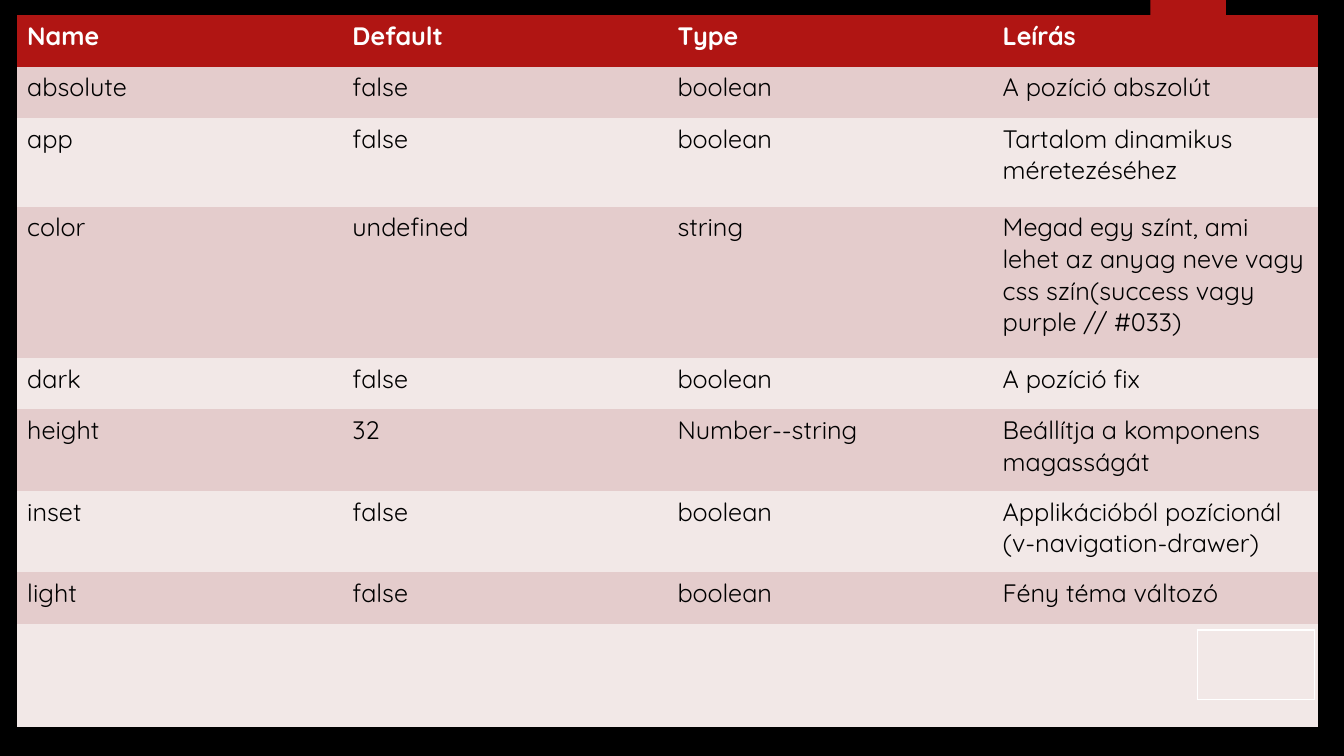
from dataclasses import dataclass

from lxml import etree
from pptx import Presentation
from pptx.dml.color import RGBColor
from pptx.enum.shapes import MSO_SHAPE
from pptx.oxml.ns import qn
from pptx.table import Table, _Cell
from pptx.util import Inches, Pt

RECTANGLE = MSO_SHAPE.RECTANGLE
FONT = "Quicksand"
PLAIN_STYLE = "{2D5ABB26-0587-4C30-8999-92F81FD0307C}"
COLORS = {
    "background": "000000",
    "accent": "B01513",
    "odd": "E4CCCC",
    "even": "F2E8E7",
    "header_text": "FFFFFF",
    "body_text": "000000",
    "border": "FFFFFF",
}


@dataclass(frozen=True)
class PropertyRow:
    height: float
    texts: tuple[str, ...]


@dataclass(frozen=True)
class Box:
    left: float
    top: float
    width: float
    height: float


PROPERTIES = [
    PropertyRow(0.51, ("Name", "Default", "Type", "Leírás")),
    PropertyRow(0.51, ("absolute", "false", "boolean", "A pozíció abszolút")),
    PropertyRow(0.88, ("app", "false", "boolean", "Tartalom dinamikus méretezéséhez")),
    PropertyRow(1.5, ("color", "undefined", "string",
                      "Megad egy színt, ami lehet az anyag neve vagy "
                      "css szín(success vagy purple // #033)")),
    PropertyRow(0.51, ("dark", "false", "boolean", "A pozíció fix")),
    PropertyRow(0.81, ("height", "32", "Number--string",
                       "Beállítja a komponens magasságát")),
    PropertyRow(0.81, ("inset", "false", "boolean",
                       "Applikációból pozícionál\n(v-navigation-drawer)")),
    PropertyRow(0.51, ("light", "false", "boolean", "Fény téma változó")),
    PropertyRow(1.02, ("", "", "", "")),
]
PROPERTY_BOX = Box(0.17, 0.15, 12.9, sum(row.height for row in PROPERTIES))
CORNER_BOX = Box(11.88, 6.25, 1.16, 0.69)
TAB_BOX = Box(11.41, 0, 0.75, 1.25)


def color(name: str) -> RGBColor:
    return RGBColor.from_string(COLORS[name])


def lengths(box: Box) -> list[Inches]:
    return [Inches(n) for n in (box.left, box.top, box.width, box.height)]


def add_plain_table(rows: int, columns: int, box: Box) -> Table:
    table = slide.shapes.add_table(rows, columns, *lengths(box)).table
    table._tbl.tblPr.find(qn("a:tableStyleId")).text = PLAIN_STYLE
    table.first_row = table.horz_banding = False
    return table


def fill_cell(cell: _Cell, text: str, fill: str, is_header: bool) -> None:
    cell.fill.solid()
    cell.fill.fore_color.rgb = color(fill)
    cell.text = text
    for paragraph in cell.text_frame.paragraphs:
        font = paragraph.font
        font.name, font.size, font.bold = FONT, Pt(18), is_header
        font.color.rgb = color("header_text" if is_header else "body_text")


def outline_cell(cell: _Cell) -> None:
    cell.fill.background()
    properties = cell._tc.get_or_add_tcPr()
    for index, side in enumerate(("lnL", "lnR", "lnT", "lnB")):
        line = etree.Element(qn(f"a:{side}"), w=str(Pt(1)))
        solid = etree.SubElement(line, qn("a:solidFill"))
        etree.SubElement(solid, qn("a:srgbClr"), val=COLORS["border"])
        properties.insert(index, line)


presentation = Presentation()
presentation.slide_width, presentation.slide_height = Inches(13.33), Inches(7.5)
slide = presentation.slides.add_slide(presentation.slide_layouts[6])
slide.background.fill.solid()
slide.background.fill.fore_color.rgb = color("background")

top_tab = slide.shapes.add_shape(RECTANGLE, *lengths(TAB_BOX))
top_tab.shadow.inherit = False
top_tab.fill.solid()
top_tab.fill.fore_color.rgb = color("accent")
top_tab.line.fill.background()

property_table = add_plain_table(len(PROPERTIES), 4, PROPERTY_BOX)
for row_index, entry in enumerate(PROPERTIES):
    property_table.rows[row_index].height = Inches(entry.height)
    is_header = row_index == 0
    band = "accent" if is_header else "odd" if row_index % 2 else "even"
    for column_index, text in enumerate(entry.texts):
        fill_cell(property_table.cell(row_index, column_index), text, band, is_header)
last_row = len(PROPERTIES) - 1
property_table.cell(last_row, 0).merge(property_table.cell(last_row, 3))

corner_table = add_plain_table(1, 1, CORNER_BOX)
outline_cell(corner_table.cell(0, 0))

presentation.save("out.pptx")
